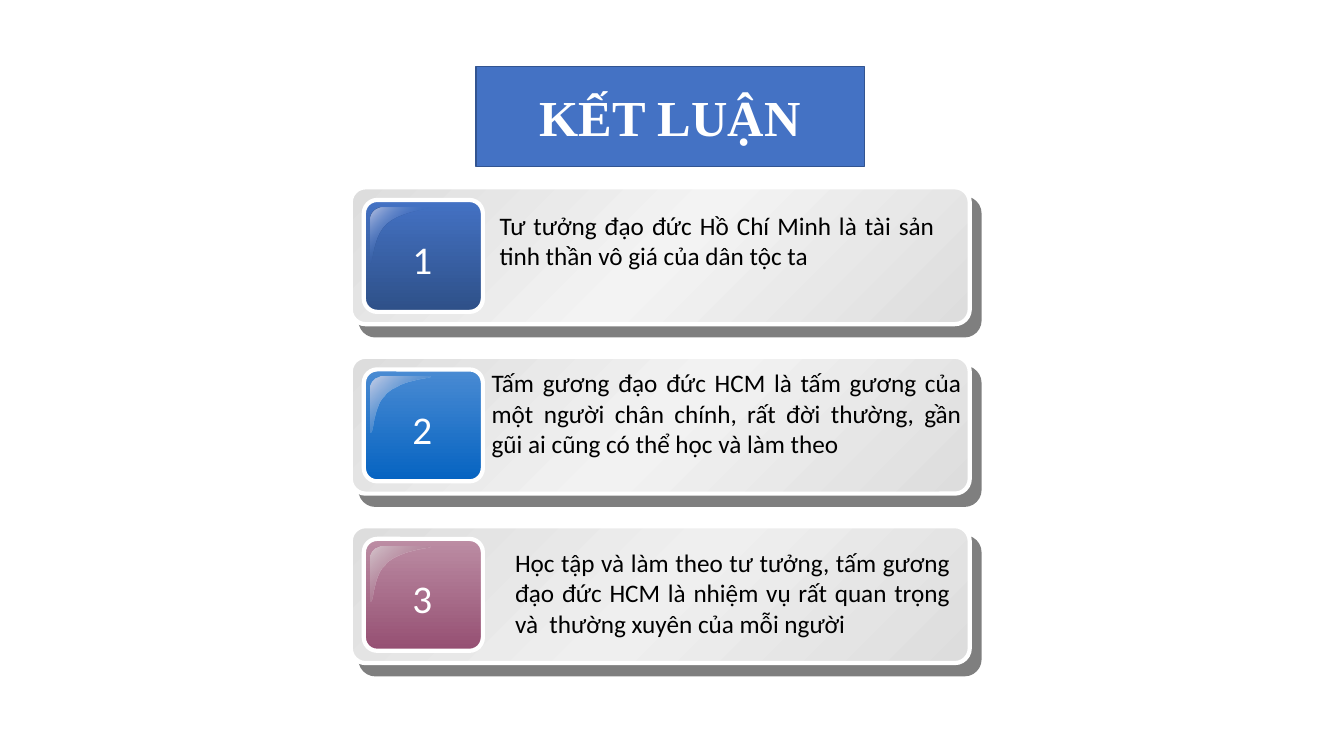
from lxml import etree
from pptx import Presentation
from pptx.dml.color import RGBColor
from pptx.enum.shapes import MSO_SHAPE
from pptx.enum.text import MSO_ANCHOR, MSO_AUTO_SIZE, PP_ALIGN
from pptx.oxml.ns import qn
from pptx.util import Cm, Pt

ROUND = MSO_SHAPE.ROUNDED_RECTANGLE
MIDDLE = MSO_ANCHOR.MIDDLE
GROW = MSO_AUTO_SIZE.SHAPE_TO_FIT_TEXT
FIXED = MSO_AUTO_SIZE.NONE
CENTER, JUSTIFY = PP_ALIGN.CENTER, PP_ALIGN.JUSTIFY

# Card grid, in cm
LEFT, TOP, PITCH = 8.84, 4.72, 4.27
WIDTH, HEIGHT = 15.6, 3.45

# Gloss outline, in cm from its own corner: start, then curves
START = (0.3, 0)
CORNER = ((0.15, 0), (0, 0.13), (0, 0.28))
SWEEP = (((0.08, 1.4), (0.05, 0.74), (0.41, 0.41)),
         ((0.79, 0.08), (1.5, 0.05), (1.5, 0)))

# Middle colour, tile gradient, gloss stops, text box (x, dy, w, h), text
CARDS = [
    ("F3F3F3", ("4472C4", "2E5088"),
     [(0, "B9C3E1", 100), (50, "4472C4", 0), (100, "B9C3E1", 100)],
     (12.34, 0.46, 11.46, 1.8),
     "Tư tưởng đạo đức Hồ Chí Minh là tài sản tinh thần vô giá của dân tộc ta"),
    ("F2F2F2", ("4A8BD3", "0563C1"),
     [(0, "C9D0E7", 100), (100, "0563C1", 0)],
     (12.14, 0.15, 12.34, 2.57),
     "Tấm gương đạo đức HCM là tấm gương của một người chân chính, "
     "rất đời thường, gần gũi ai cũng có thể học và làm theo"),
    ("EFEFEF", ("BC8DA4", "954F72"),
     [(0, "D4C4CB", 100), (100, "954F72", 0)],
     (12.73, 0.41, 11.46, 2.57),
     "Học tập và làm theo tư tưởng, tấm gương đạo đức HCM là nhiệm vụ "
     "rất quan trọng và  thường xuyên của mỗi người"),
]


def color(code):
    return RGBColor.from_string(code)


def add(parent, tag, **attrs):
    node = etree.SubElement(parent, qn(tag))
    for key, value in attrs.items():
        node.set(key, str(value))
    return node


def curve(a, b, c, d, steps=10):
    """Points along a cubic curve, without its start."""
    for i in range(1, steps + 1):
        t = i / steps
        u = 1 - t
        yield tuple(u**3 * p + 3 * u * u * t * q + 3 * u * t * t * r + t**3 * s
                    for p, q, r, s in zip(a, b, c, d))


class Deck:
    font = "Calibri"

    def __init__(self):
        self.prs = Presentation()
        self.prs.slide_width, self.prs.slide_height = Cm(33.87), Cm(19.05)
        self.slide = self.prs.slides.add_slide(self.prs.slide_layouts[5])

    def put(self, frame, text, size, align, tone, font=None, bold=False):
        frame.text = text
        para = frame.paragraphs[0]
        para.alignment = align
        para.font.name = font or self.font
        para.font.size = Pt(size)
        para.font.bold = bold
        para.font.color.rgb = color(tone)

    def title(self, text, x, y, w, h):
        box = self.slide.shapes.title
        box.left, box.top, box.width, box.height = Cm(x), Cm(y), Cm(w), Cm(h)
        props = box.element.spPr
        geom = add(props, "a:prstGeom", prst="roundRect")
        add(geom, "a:avLst")
        props.insert(1, geom)
        box.fill.solid()
        box.fill.fore_color.rgb = color("4472C4")
        box.line.color.rgb = color("325491")
        box.line.width = Pt(1)
        self.put(box.text_frame, text, 36, CENTER, "FFFFFF",
                 "Times New Roman", True)
        box.text_frame.vertical_anchor = MIDDLE
        box.text_frame.auto_size = FIXED

    def blend(self, shape, stops, angle):
        shape.fill.gradient()
        shape.fill.gradient_angle = 360 - angle
        group = shape.element.spPr.find(".//" + qn("a:gsLst"))
        group.clear()
        for pos, code, alpha in stops:
            stop = add(group, "a:gs", pos=pos * 1000)
            tone = add(stop, "a:srgbClr", val=code)
            if alpha < 100:
                add(tone, "a:alpha", val=alpha * 1000)

    def panel(self, group, x, y, w, h, round_by, stops, angle):
        shape = group.shapes.add_shape(ROUND, Cm(x), Cm(y), Cm(w), Cm(h))
        shape.adjustments[0] = round_by
        self.blend(shape, stops, angle)
        shape.line.color.rgb = color("FFFFFF")
        shape.line.width = Pt(3)
        shape.shadow.inherit = False
        return shape

    def shade(self, shape):
        effects = shape.element.spPr.find(qn("a:effectLst"))
        outer = add(effects, "a:outerShdw", dist=Pt(10.6), dir=49 * 60000,
                    algn="ctr", rotWithShape=0)
        add(add(outer, "a:srgbClr", val="000000"), "a:alpha", val=50000)

    def gloss(self, group, x, y, stops):
        points = list(curve(START, *CORNER))
        last = (0, 1.4)
        points.append(last)
        for part in SWEEP:
            points += curve(last, *part)
            last = part[-1]
        pen = group.shapes.build_freeform(Cm(x + START[0]), Cm(y))
        pen.add_line_segments([(Cm(x + px), Cm(y + py)) for px, py in points])
        shape = pen.convert_to_shape()
        self.blend(shape, stops, 45)
        shape.line.fill.background()
        shape.shadow.inherit = False

    def label(self, group, text, x, y, w, h, size, align, tone, wrap):
        box = group.shapes.add_textbox(Cm(x), Cm(y), Cm(w), Cm(h))
        box.text_frame.word_wrap = wrap
        box.text_frame.auto_size = GROW
        self.put(box.text_frame, text, size, align, tone)

    def card(self, num, mid, tile, shine, box, text):
        y = TOP + (num - 1) * PITCH
        group = self.slide.shapes.add_group_shape()
        grey = [(0, "DDDDDD", 100), (50, mid, 100), (100, "DDDDDD", 100)]
        base = self.panel(group, LEFT, y, WIDTH, HEIGHT, 0.109, grey, 45)
        self.shade(base)
        # Numbered tile
        fade = [(0, tile[0], 100), (100, tile[1], 100)]
        self.panel(group, LEFT + 0.33, y + 0.32, 3, 2.82, 0.119, fade, 90)
        self.gloss(group, LEFT + 0.51, y + 0.51, shine)
        self.label(group, str(num), LEFT + 1.27, y + 1.09, 1.07, 1.45,
                   28, CENTER, "FFFFFF", False)
        # Statement
        x, drop, w, h = box
        self.label(group, text, x, y + drop, w, h, 18, JUSTIFY, "000000", True)


def main():
    deck = Deck()
    deck.title("KẾT LUẬN", 12, 1.68, 9.78, 2.51)
    for num, card in enumerate(CARDS, 1):
        deck.card(num, *card)
    deck.prs.save("out.pptx")


if __name__ == "__main__":
    main()
